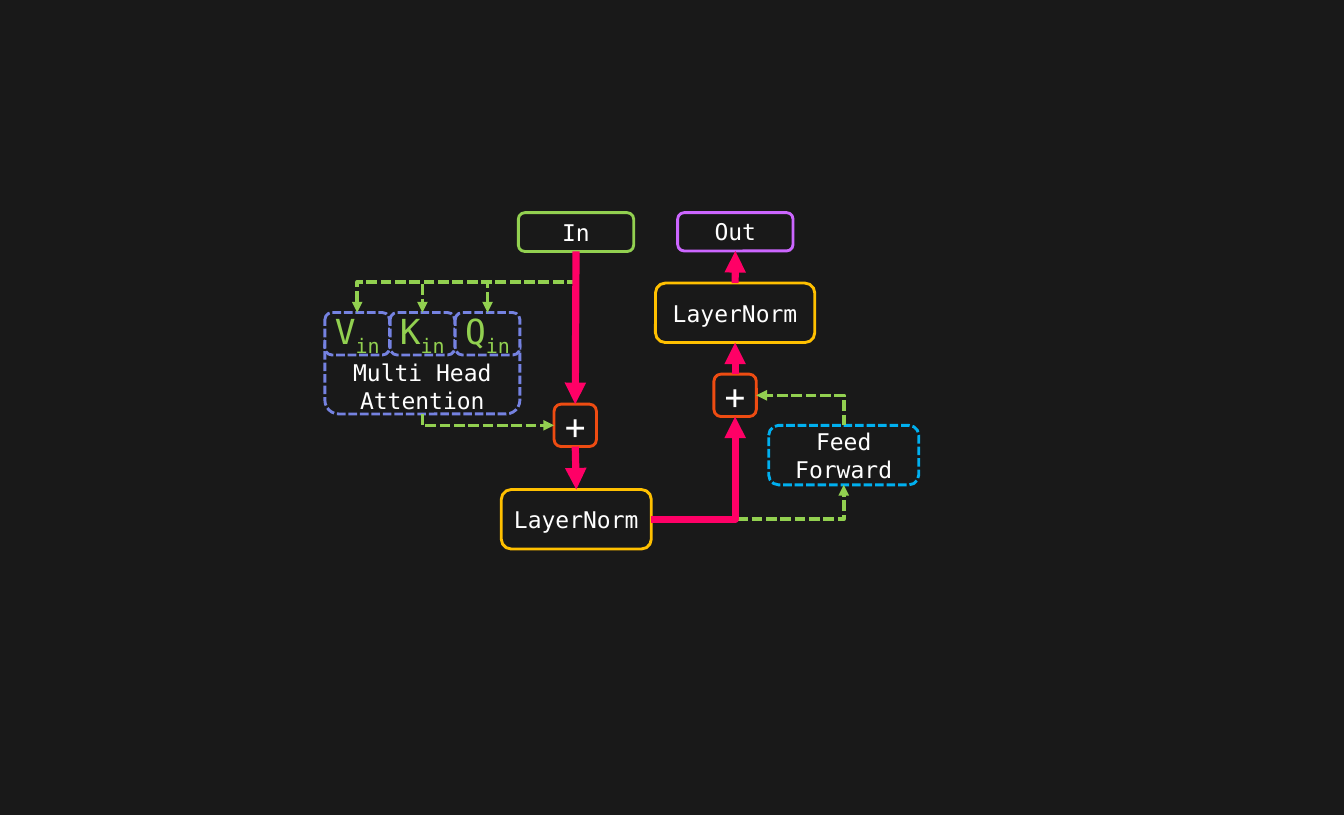
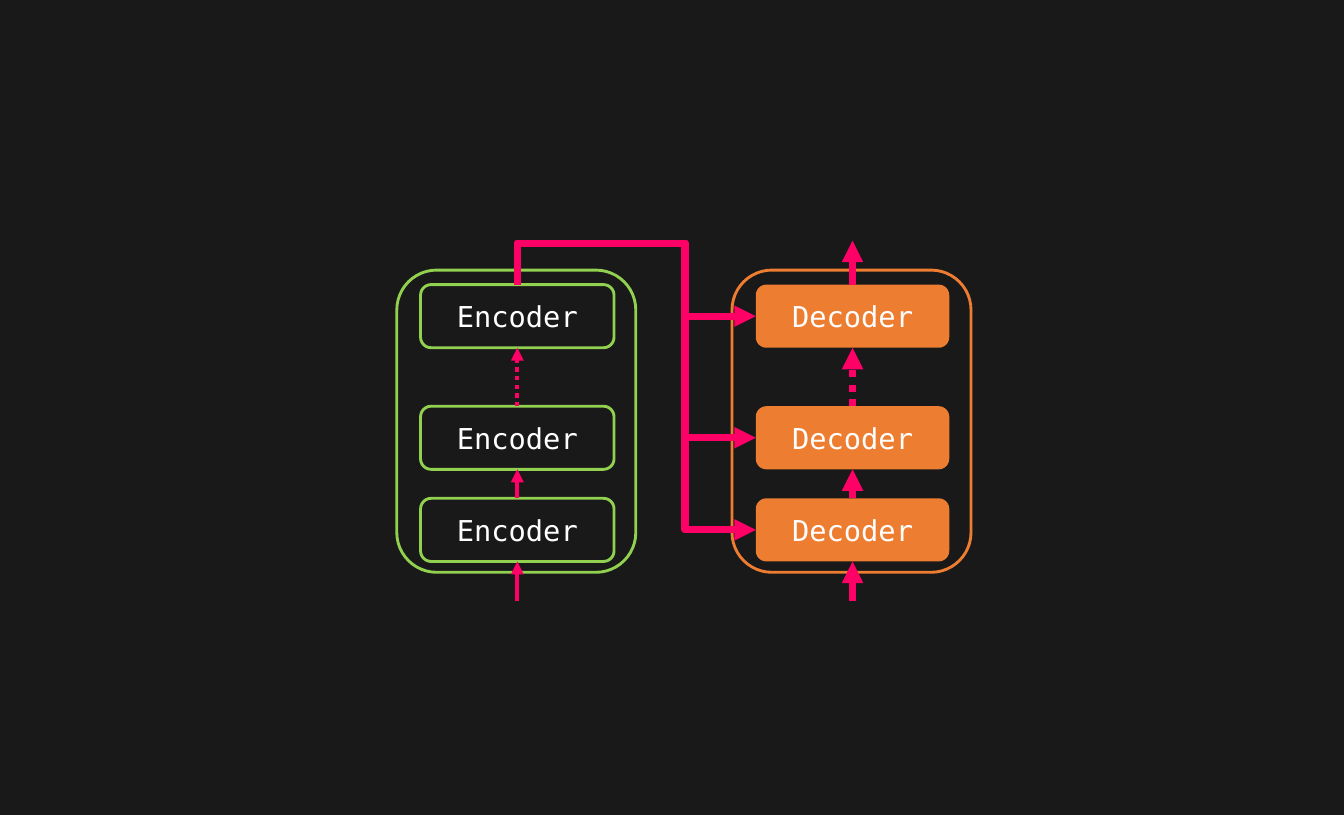
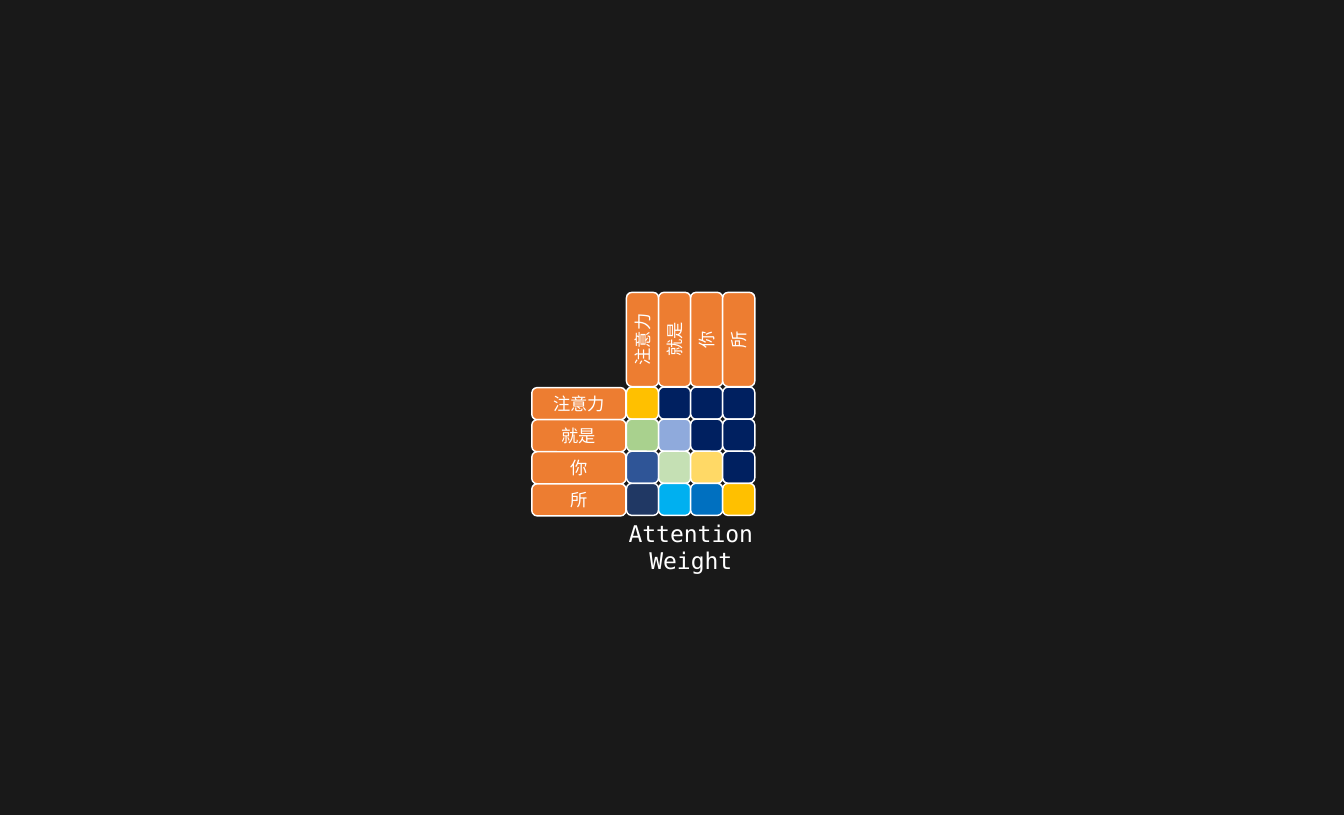
from dataclasses import dataclass

from lxml import etree
from pptx import Presentation
from pptx import util as u
from pptx.dml.color import RGBColor
from pptx.enum import shapes, text
from pptx.oxml.ns import qn

PX = 9144  # EMU per px, 100 px to the inch
TOP, LEFT, BOTTOM, RIGHT = range(4)


@dataclass(frozen=True)
class Theme:
    # Colours
    back: str = "191919"
    white: str = "FFFFFF"
    green: str = "92D050"
    purple: str = "CC66FF"
    sky: str = "00B0F0"
    red: str = "EE4C12"
    gold: str = "FFC000"
    pink: str = "FF0066"
    violet: str = "7582E1"
    orange: str = "ED7D31"
    # Fonts and type sizes
    mono: str = "DejaVu Sans Mono"
    han: str = "Noto Sans CJK TC"
    small: int = 24
    body: int = 32
    block: int = 40
    large: int = 48
    # Line widths
    hair: int = 2
    edge: int = 4
    dash: int = 5
    thin: int = 6
    bold: int = 10


T = Theme()


def write(shape, words, size=T.body, color=T.white, font=T.mono, sub="", pad=0):
    """Fill a shape with centred lines; sub is a subscript after the last."""
    frame = shape.text_frame
    frame.word_wrap = True
    frame.vertical_anchor = text.MSO_ANCHOR.MIDDLE
    if pad:
        frame.margin_top = u.Emu(pad * PX)
    lines = words.split("\n")
    for i, line in enumerate(lines):
        para = frame.add_paragraph() if i else frame.paragraphs[0]
        para.alignment = text.PP_ALIGN.CENTER
        parts = [(line, False)]
        if sub and i == len(lines) - 1:
            parts.append((sub, True))
        for part, low in parts:
            run = para.add_run()
            run.text = part
            run.font.size = u.Pt(size)
            run.font.name = font
            run.font.color.rgb = RGBColor.from_string(color)
            props = run.font._element
            if low:
                props.set("baseline", "-25000")
            east = etree.Element(qn("a:ea"), typeface=font)
            props.find(qn("a:latin")).addnext(east)


def spot(end):
    """Give the point of an end: (x, y), or (shape, side)."""
    item, side = end
    if isinstance(item, int):
        return item * PX, side * PX
    x, y, w, h = item.left, item.top, item.width, item.height
    return ((x + w // 2, y), (x, y + h // 2),
            (x + w // 2, y + h), (x + w, y + h // 2))[side]


class Deck:
    def __init__(self, theme, wide, high):
        self.theme = theme
        self.prs = Presentation()
        self.prs.slide_width = u.Emu(wide * PX)
        self.prs.slide_height = u.Emu(high * PX)
        self.slide = None

    def page(self):
        self.slide = self.prs.slides.add_slide(self.prs.slide_layouts[6])
        fill = self.slide.background.fill
        fill.solid()
        fill.fore_color.rgb = RGBColor.from_string(self.theme.back)

    def stroke(self, item, color, width, dash=None):
        item.line.color.rgb = RGBColor.from_string(color)
        item.line.width = u.Pt(width)
        ln = item.line._get_or_add_ln()
        if dash:
            etree.SubElement(ln, qn("a:prstDash"), val=dash)
        return ln

    def box(self, x, y, w, h, words="", fill=None, line=None,
            width=T.edge, dash=None, turn=0, **form):
        shape = self.slide.shapes.add_shape(
            shapes.MSO_SHAPE.ROUNDED_RECTANGLE,
            *(u.Emu(n * PX) for n in (x, y, w, h)))
        shape.shadow.inherit = False
        shape.rotation = turn
        if fill:
            shape.fill.solid()
            shape.fill.fore_color.rgb = RGBColor.from_string(fill)
        else:
            shape.fill.background()
        if line:
            self.stroke(shape, line, width, dash)
        else:
            shape.line.fill.background()
        if words:
            write(shape, words, **form)
        return shape

    def wire(self, kind, x, y, right, low, color, width, dash):
        wire = self.slide.shapes.add_connector(kind, x, y, right, low)
        ln = self.stroke(wire, color, width, dash)
        etree.SubElement(ln, qn("a:tailEnd"), type="triangle")
        etree.SubElement(wire._element.spPr, qn("a:effectLst"))
        return wire

    def arrow(self, start, end, width=T.bold, dash=None):
        """Straight arrow, joined to the shapes it meets."""
        wire = self.wire(shapes.MSO_CONNECTOR.STRAIGHT, *spot(start),
                         *spot(end), self.theme.pink, width, dash)
        if not isinstance(start[0], int):
            wire.begin_connect(*start)
        if not isinstance(end[0], int):
            wire.end_connect(*end)

    def elbow(self, start, end, color, width, dash=None,
              bends=1, upright=True, via=None):
        """Arrow with 1 to 3 right-angled bends; via is the middle corner."""
        (ax, ay), (bx, by) = spot(start), spot(end)
        dx, dy = bx - ax, by - ay
        w, h = (abs(dy), abs(dx)) if upright else (abs(dx), abs(dy))
        x, y = (ax + bx - w) // 2, (ay + by - h) // 2
        wire = self.wire(shapes.MSO_CONNECTOR.ELBOW, x, y, x + w, y + h,
                         color, width, dash)
        # Turn and mirror the box so that its path runs from start to end
        form = wire._element.spPr.find(qn("a:xfrm"))
        if upright:
            turn = 90 if dx < 0 < dy else 270
            form.set("rot", str(turn * 60000))
            flips = {"flipH": turn == 270 and dy > 0,
                     "flipV": dx < 0 and dy < 0}
        else:
            flips = {"flipH": dx < 0, "flipV": dy < 0}
        for name, on in flips.items():
            if on:
                form.set(name, "1")
        geom = wire._element.spPr.find(qn("a:prstGeom"))
        geom.set("prst", f"bentConnector{bends + 1}")
        if via:
            vx, vy = spot(via)
            guides = geom.find(qn("a:avLst"))
            ratios = ((vy - ay) / dy, (vx - ax) / dx)
            for i, ratio in enumerate(ratios, 1):
                etree.SubElement(guides, qn("a:gd"), name=f"adj{i}",
                                 fmla=f"val {round(ratio * 100000)}")


def layer(deck):
    """One encoder layer with its residual paths."""
    deck.page()
    # Main path
    source = deck.box(1002, 411, 223, 75, "In", line=T.green)
    out = deck.box(1310, 411, 223, 74, "Out", line=T.purple)
    feed = deck.box(1486, 822, 290, 115, "Feed Forward",
                    line=T.sky, dash="sysDash")
    add1, add2 = (deck.box(x, y, 82, 82, "+", line=T.red, size=T.large)
                  for x, y in ((1071, 781), (1380, 723)))
    norm1, norm2 = (deck.box(x, y, w, 115, "LayerNorm", line=T.gold)
                    for x, y, w in ((969, 946, 290), (1267, 547, 308)))

    # Side paths
    side = {"color": T.green, "width": T.dash, "dash": "sysDash"}
    deck.elbow((feed, TOP), (add2, RIGHT), **side)
    deck.elbow((norm1, RIGHT), (feed, BOTTOM), upright=False, **side)

    # Attention and its inputs
    frame = {"line": T.violet, "dash": "sysDash"}
    heads = deck.box(628, 640, 377, 160, "Multi Head Attention",
                     pad=57, **frame)
    deck.elbow((heads, BOTTOM), (add1, LEFT), **side)
    for i, name in enumerate("VKQ"):
        port = deck.box(628 + 126 * i, 604, 125, 82, name, fill=T.back,
                        size=T.large, color=T.green, sub="in", **frame)
        deck.elbow((source, BOTTOM), (port, TOP), bends=2, **side)

    # Bold arrows
    for start, end in (((source, BOTTOM), (add1, TOP)),
                       ((add1, BOTTOM), (norm1, TOP)),
                       ((add2, TOP), (norm2, BOTTOM)),
                       ((norm2, TOP), (out, BOTTOM))):
        deck.arrow(start, end)
    deck.elbow((norm1, RIGHT), (add2, BOTTOM), T.pink, T.bold, upright=False)


def stack(deck, x, name, edge, fill, line, width):
    """Framed column of three blocks, bottom first, with arrows going up."""
    deck.box(x, 522, 462, 584, line=edge)
    blocks = [deck.box(x + 46, y, 374, 122, name, fill=fill, line=line,
                       size=T.block) for y in (963, 785, 550)]
    low, mid, top = blocks
    deck.arrow((x + 233, 1162), (low, BOTTOM), width)
    deck.arrow((low, TOP), (mid, BOTTOM), width)
    deck.arrow((mid, TOP), (top, BOTTOM), width, "sysDot")
    return blocks


def stacks(deck):
    """Encoder stack feeding every decoder."""
    deck.page()
    coders = stack(deck, 767, "Encoder", T.green, None, T.green, T.thin)
    readers = stack(deck, 1415, "Decoder", T.orange, T.orange, None, T.bold)
    for block in readers:
        deck.elbow((coders[-1], TOP), (block, LEFT), T.pink, T.bold,
                   bends=3, via=(1324, 470))
    deck.arrow((readers[-1], TOP), (1648, 465))


def weights(deck):
    """Attention weights between the words."""
    deck.page()
    cell, long = 62, 182
    left, top = 1211, 748
    navy = "002060"
    grid = ((T.gold, navy, navy, navy),
            ("A9D18E", "8FAADC", navy, navy),
            ("2F5597", "C5E0B4", "FFD966", navy),
            ("203864", T.sky, "0070C0", T.gold))
    rim = {"line": T.white, "width": T.hair}
    for r, row in enumerate(grid):
        for c, tint in enumerate(row):
            deck.box(left + c * cell, top + r * cell, cell, cell,
                     fill=tint, **rim)
    deck.box(794, 1017, 1083, 79, "Attention\nWeight")

    # Row and column heads
    head = {"fill": T.orange, "size": T.small, "font": T.han, **rim}
    shift = (long - cell) // 2
    for i, word in enumerate(("注意力", "就是", "你", "所")):
        deck.box(left - long - 1, top + 1 + i * cell, long, cell, word, **head)
        deck.box(left - shift + i * cell, top - long + shift - 1, long, cell,
                 word, turn=270, **head)


def main():
    deck = Deck(T, 2598, 1575)
    for draw in (layer, stacks, weights):
        draw(deck)
    deck.prs.save("out.pptx")


if __name__ == "__main__":
    main()
